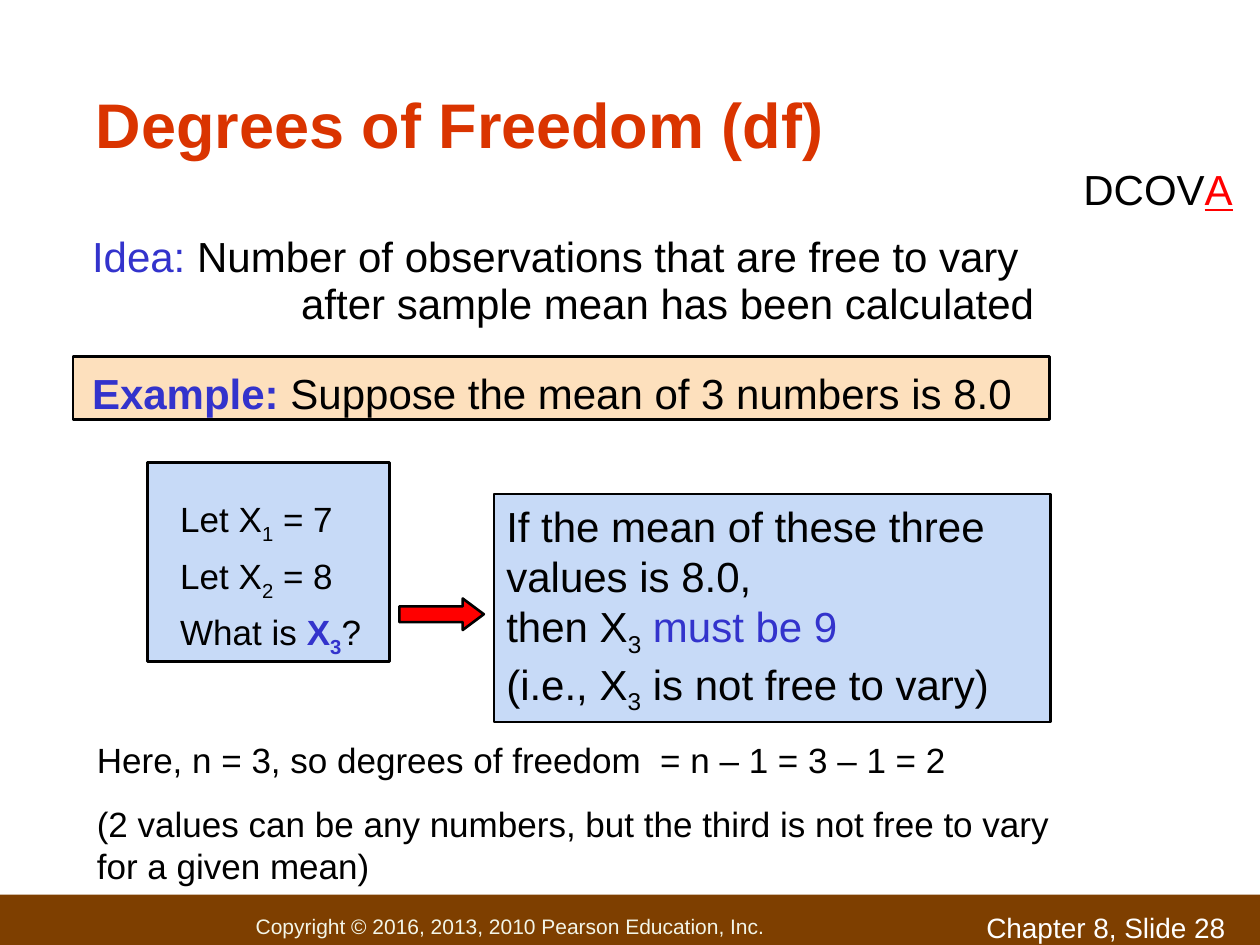
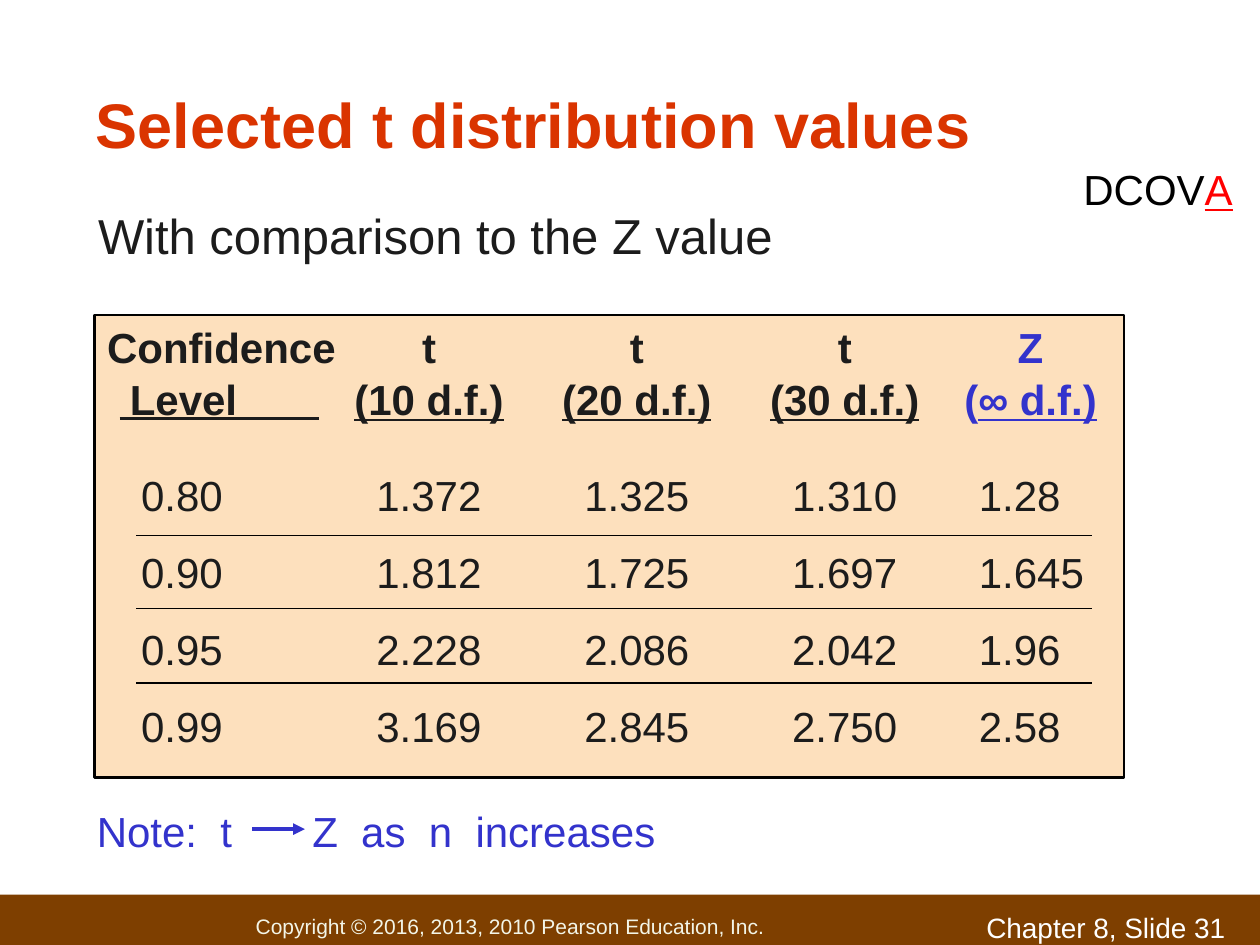
from dataclasses import dataclass
from typing import NamedTuple, Optional, Sequence

import pptx
import pptx.util
from pptx.dml.color import RGBColor
from pptx.enum.shapes import MSO_CONNECTOR, MSO_SHAPE
from pptx.enum.text import MSO_ANCHOR, MSO_AUTO_SIZE, PP_ALIGN
from pptx.oxml.ns import qn

Pt = pptx.util.Pt
Inches = pptx.util.Inches


# Theme and grid: 12 grid steps to the inch, 120 columns by 90 rows
@dataclass(frozen=True)
class Theme:
    font: str = "Arial"
    black: str = "000000"
    ink: str = "1C1C1C"
    title: str = "DA3400"
    accent: str = "3333CC"
    red: str = "FF0000"
    white: str = "FFFFFF"
    band: str = "7E3F00"
    copyright: str = "F3F5E7"
    blue_panel: str = "C7DAF7"
    tan_panel: str = "FDE0BD"
    title_size: int = 36
    subtitle_size: int = 28
    body_size: int = 24
    detail_size: int = 20
    label_size: int = 16
    footer_size: int = 12


T = Theme()
COLS, ROWS = 120, 90


class Box(NamedTuple):
    col: float
    row: float
    cols: float
    rows: float


class Run(NamedTuple):
    text: str
    color: Optional[str] = None
    bold: bool = False
    underline: bool = False
    sub: bool = False


@dataclass
class Para:
    runs: Sequence[Run]
    size: int = T.body_size
    color: str = T.black
    before: float = 0
    spacing: Optional[float] = None
    align: PP_ALIGN = PP_ALIGN.LEFT
    indent: float = 0


def grid(n: float) -> int:
    return Inches(round(n / 12, 2))


def place(sp, box: Box) -> None:
    sp.left, sp.top, sp.width, sp.height = (grid(n) for n in box)


# Text
def write(tf, paras: Sequence[Para]) -> None:
    for i, para in enumerate(paras):
        p = tf.paragraphs[0] if i == 0 else tf.add_paragraph()
        pPr = p._p.get_or_add_pPr()
        pPr.set("marL", str(Inches(para.indent)))
        pPr.set("indent", "0")
        pPr.append(pPr.makeelement(qn("a:buNone"), {}))
        p.alignment = para.align
        p.space_before = Pt(para.before)
        if para.spacing:
            p.line_spacing = para.spacing
        for run in para.runs:
            r = p.add_run()
            r.text = run.text
            r.font.name, r.font.size = T.font, Pt(para.size)
            r.font.bold, r.font.underline = run.bold, run.underline
            r.font.color.rgb = RGBColor.from_string(run.color or para.color)
            if run.sub:
                r.font._element.set("baseline", "-25000")


def set_frame(tf, anchor=MSO_ANCHOR.TOP, wrap: bool = True) -> None:
    tf.word_wrap = wrap
    tf.auto_size = MSO_AUTO_SIZE.NONE
    tf.vertical_anchor = anchor


def add_text(s, box: Box, paras: Sequence[Para], wrap: bool = True) -> None:
    sp = s.shapes.add_textbox(*(grid(n) for n in box))
    set_frame(sp.text_frame, wrap=wrap)
    write(sp.text_frame, paras)


def fill_placeholder(sp, box: Box, paras: Sequence[Para],
                     anchor=MSO_ANCHOR.TOP) -> None:
    place(sp, box)
    set_frame(sp.text_frame, anchor)
    sp.text_frame.margin_left = sp.text_frame.margin_right = Inches(0.09)
    write(sp.text_frame, paras)


# Shapes
def add_panel(s, box: Box, fill: str, line: Optional[str] = T.black,
              kind=MSO_SHAPE.RECTANGLE):
    sp = s.shapes.add_shape(kind, *(grid(n) for n in box))
    sp.shadow.inherit = False
    sp.fill.solid()
    sp.fill.fore_color.rgb = RGBColor.from_string(fill)
    if line:
        sp.line.color.rgb = RGBColor.from_string(line)
        sp.line.width = Pt(1.5)
    else:
        sp.line.fill.background()
    set_frame(sp.text_frame)
    return sp


def add_rule(s, start: float, end: float, row: float, color: str = T.black,
             width: float = 0.75, arrow: bool = False) -> None:
    c = s.shapes.add_connector(MSO_CONNECTOR.STRAIGHT, grid(start), grid(row),
                               grid(end), grid(row))
    c.line.color.rgb = RGBColor.from_string(color)
    c.line.width = Pt(width)
    if arrow:
        ln = c.line._get_or_add_ln()
        ln.append(ln.makeelement(qn("a:tailEnd"), {"type": "triangle"}))
    spPr = c._element.spPr
    spPr.append(spPr.makeelement(qn("a:effectLst"), {}))


# Parts that both slides share
def start_slide(prs, layout: int, title: str, number: int):
    s = prs.slides.add_slide(prs.slide_layouts[layout])
    band = add_panel(s, Box(0, 85.2, COLS, ROWS - 85.2), T.band, None)
    tf = band.text_frame
    set_frame(tf, MSO_ANCHOR.MIDDLE, wrap=False)
    tf.margin_left, tf.margin_top = Inches(2.03), Inches(0.1)
    tf.margin_right = tf.margin_bottom = 0
    write(tf, [Para([Run("Copyright © 2016, 2013, 2010 Pearson Education, Inc.")],
                    T.footer_size, T.copyright)])
    add_text(s, Box(92.8, 86.2, 27.2, 3.8),
             [Para([Run(f"Chapter 8, Slide {number}")], T.label_size, T.white)])
    fill_placeholder(s.shapes.title, Box(8, 3, 104, 13),
                     [Para([Run(title, bold=True)], T.title_size, T.title)],
                     MSO_ANCHOR.BOTTOM)
    add_text(s, Box(102, 15, 16.5, 6),
             [Para([Run("DCOV"), Run("A", T.red, underline=True)])], wrap=False)
    return s


# Slide: degrees of freedom
def build_degrees_of_freedom(prs) -> None:
    s = start_slide(prs, 1, "Degrees of Freedom (df)", 28)
    three = Run("3", sub=True)

    add_panel(s, Box(7, 34, 93, 6), T.tan_panel)
    body = s.placeholders[1]
    fill_placeholder(body, Box(2, 21.4, 106, 19), [
        Para([Run("Idea:", T.accent),
              Run(" Number of observations that are free to vary")], indent=0.47),
        Para([Run("after sample mean has been calculated")],
             before=6, spacing=0.7, indent=2.13),
        Para([Run("Example: ", T.accent, bold=True),
              Run("Suppose the mean of 3 numbers is 8.0")],
             before=6, spacing=1.6, indent=0.47),
    ])
    s.shapes._spTree.append(body._element)  # in front of the tan panel

    givens = add_panel(s, Box(14, 44, 23, 19), T.blue_panel).text_frame
    givens.margin_left, givens.margin_top = Inches(0.26), Inches(0.28)
    givens.margin_right = 0
    lines = [
        [Run("Let X"), Run("1", sub=True), Run(" = 7")],
        [Run("Let X"), Run("2", sub=True), Run(" = 8")],
        [Run("What is "), Run("X", T.accent, bold=True),
         Run("3", T.accent, bold=True, sub=True), Run("?")],
    ]
    write(givens, [Para(runs, T.detail_size, before=5 if i else 0)
                   for i, runs in enumerate(lines)])

    arrow = add_panel(s, Box(38, 57, 8, 3), T.red, kind=MSO_SHAPE.RIGHT_ARROW)
    arrow.adjustments[1] = 0.67

    result = add_panel(s, Box(47, 47, 53, 21.7), T.blue_panel)
    write(result.text_frame, [
        Para([Run("If the mean of these three values is 8.0,")]),
        Para([Run("then X"), three, Run(" must be 9", T.accent)]),
        Para([Run("(i.e., X"), three, Run(" is not free to vary)")]),
    ])
    add_text(s, Box(8, 69.7, 97, 15.5), [
        Para([Run("Here, n = 3, so degrees of freedom  = n – 1 = 3 – 1 = 2")],
             T.detail_size),
        Para([Run("(2 values can be any numbers, but the third is not free "
                  "to vary for a given mean)")], T.detail_size, before=12.5),
    ])


# Slide: t values
HEADERS = [("Confidence", "Level"), ("t", "(10 d.f.)"), ("t", "(20 d.f.)"),
           ("t", "(30 d.f.)"), ("Z", "(∞ d.f.)")]
VALUES = [
    ("0.80", "1.372", "1.325", "1.310", "1.28"),
    ("0.90", "1.812", "1.725", "1.697", "1.645"),
    ("0.95", "2.228", "2.086", "2.042", "1.96"),
    ("0.99", "3.169", "2.845", "2.750", "2.58"),
]
COL_WIDTHS = (23, 17.6, 22, 17.6, 17.8)
HEADER_ROW, VALUE_ROW = 13.7, 7.3


def clear_borders(cell) -> None:
    tcPr = cell._tc.get_or_add_tcPr()
    for i, side in enumerate(("lnL", "lnR", "lnT", "lnB")):
        ln = tcPr.makeelement(qn(f"a:{side}"), {"w": "0"})
        ln.append(ln.makeelement(qn("a:noFill"), {}))
        tcPr.insert(i, ln)


def header_paras(col: int) -> list:
    top, bottom = HEADERS[col]
    color = T.accent if top == "Z" else T.ink
    align = PP_ALIGN.CENTER if col else PP_ALIGN.LEFT
    if col == 0:  # a long rule underlines this heading
        lower = [Run(bottom, bold=True)]
    elif top == "Z":
        lower = [Run("(", bold=True), Run(bottom[1:], bold=True, underline=True)]
    else:
        lower = [Run(bottom, bold=True, underline=True)]
    return [Para([Run(top, bold=True)], color=color, align=align),
            Para(lower, color=color, align=align, before=3,
                 indent=0 if col else 0.18)]


def add_value_table(s, left: float, top: float) -> None:
    heights = [HEADER_ROW] + [VALUE_ROW] * len(VALUES)
    table = s.shapes.add_table(
        len(heights), len(COL_WIDTHS), grid(left), grid(top),
        grid(sum(COL_WIDTHS)), grid(sum(heights))).table
    for column, width in zip(table.columns, COL_WIDTHS):
        column.width = grid(width)
    last = len(COL_WIDTHS) - 1
    for r, height in enumerate(heights):
        table.rows[r].height = grid(height)
        for c in range(len(COL_WIDTHS)):
            cell = table.cell(r, c)
            cell.fill.background()
            clear_borders(cell)
            cell.margin_left = cell.margin_right = cell.margin_bottom = 0
            cell.margin_top = Inches(0 if r else 0.08)
            if r == 0:
                cell.margin_left = Inches(0 if c else 0.1)
                cell.vertical_anchor = MSO_ANCHOR.TOP
                write(cell.text_frame, header_paras(c))
                continue
            cell.vertical_anchor = MSO_ANCHOR.MIDDLE
            cell.margin_left = Inches({0: 0.37, last: 0.33}.get(c, 0))
            align = PP_ALIGN.LEFT if c in (0, last) else PP_ALIGN.CENTER
            write(cell.text_frame,
                  [Para([Run(VALUES[r - 1][c])], color=T.ink, align=align)])


def build_t_values(prs) -> None:
    s = start_slide(prs, 5, "Selected t distribution values", 31)
    add_text(s, Box(8.2, 19, 66.6, 6.8),
             [Para([Run("With comparison to the Z value")],
                   T.subtitle_size, T.ink)], wrap=False)
    panel = Box(9, 30, sum(COL_WIDTHS), 44)
    add_panel(s, panel, T.tan_panel)
    add_value_table(s, panel.col, panel.row)
    add_rule(s, 11.4, 30.4, 39.9, T.ink, 1.5)
    for i in range(len(VALUES) - 1):
        add_rule(s, 13, 104, 51 + 7 * i)

    # Note: the arrow runs between its two pieces of text
    for box, text in ((Box(8, 77, 16, 5), "Note:  t"),
                      (Box(28.6, 77, 37.4, 5), "Z  as  n  increases")):
        add_text(s, box, [Para([Run(text)], color=T.accent, spacing=0.8)],
                 wrap=False)
    add_rule(s, 24, 29, 79, T.accent, 2.25, arrow=True)


def main() -> None:
    prs = pptx.Presentation()
    prs.slide_width, prs.slide_height = grid(COLS), grid(ROWS)
    build_degrees_of_freedom(prs)
    build_t_values(prs)
    prs.save("out.pptx")


if __name__ == "__main__":
    main()
